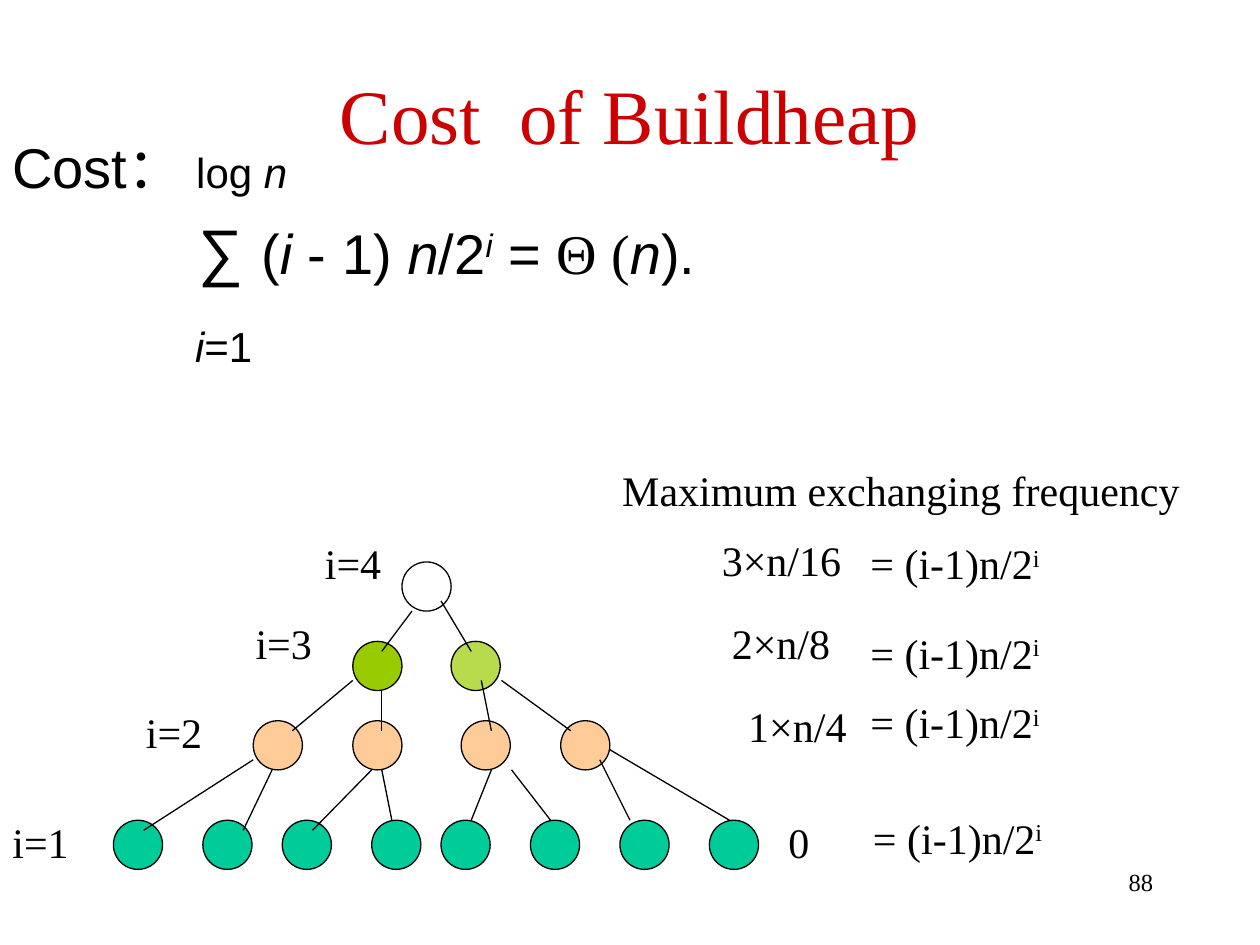
from dataclasses import dataclass

from lxml.etree import SubElement
from pptx import Presentation
from pptx.dml.color import RGBColor as Color
from pptx.enum.shapes import MSO_CONNECTOR as Connector, MSO_SHAPE as Shape
from pptx.enum.text import MSO_ANCHOR as Anchor, MSO_AUTO_SIZE as AutoSize, PP_ALIGN as Align
from pptx.oxml.ns import qn
from pptx.util import Inches, Pt


@dataclass(frozen=True)
class Theme:
    serif: str = "Times New Roman"
    sans: str = "Arial"
    ink: str = "000000"
    title: str = "CC0000"
    root: str = "FFFFFF"
    green: str = "99CC00"
    peach: str = "FFCC99"
    teal: str = "00CC99"
    title_size: int = 44
    sum_size: int = 36
    formula_size: int = 32
    label_size: int = 24
    number_size: int = 14
    line_width: float = 0.75
    node_size: float = 0.39


class HeapSlide:
    def __init__(self, page, theme):
        self.page = page
        self.theme = theme

    def set_font(self, font, size, name, color):
        font.size = Pt(size)
        font.name = name
        font.color.rgb = Color.from_string(color)

    def text(self, left, top, width, height, words, size=None, color=None,
             align=Align.LEFT, anchor=Anchor.TOP, wrap=False, exponent=None):
        theme = self.theme
        box = self.page.shapes.add_textbox(
            Inches(left), Inches(top), Inches(width), Inches(height))
        frame = box.text_frame
        frame.word_wrap = wrap
        frame.auto_size = AutoSize.NONE if wrap else AutoSize.SHAPE_TO_FIT_TEXT
        frame.vertical_anchor = anchor
        para = frame.paragraphs[0]
        para.alignment = align
        self.set_font(para.font, size or theme.label_size, theme.serif, color or theme.ink)
        para.add_run().text = words
        if exponent:
            self.superscript(para, exponent)

    def superscript(self, para, words):
        span = para.add_run()
        span.text = words
        span.font._element.set("baseline", "30000")
        return span

    def formula(self, left, top, width, height, lines):
        theme = self.theme
        box = self.page.shapes.add_textbox(
            Inches(left), Inches(top), Inches(width), Inches(height))
        frame = box.text_frame
        frame.word_wrap = True
        for index, (indent, before, size, spans) in enumerate(lines):
            para = frame.add_paragraph() if index else frame.paragraphs[0]
            para._p.get_or_add_pPr().set("marL", str(Inches(indent)))
            para.space_before = Pt(before)
            self.set_font(para.font, size, theme.sans, theme.ink)
            for words, style in spans:
                if style.get("raised"):
                    span = self.superscript(para, words)
                else:
                    span = para.add_run()
                    span.text = words
                span.font.italic = style.get("italic")
                if "size" in style:
                    span.font.size = Pt(style["size"])
                if "font" in style:
                    span.font.name = style["font"]

    def node(self, left, top, fill, alpha=None):
        theme = self.theme
        size = Inches(theme.node_size)
        circle = self.page.shapes.add_shape(Shape.OVAL, Inches(left), Inches(top), size, size)
        circle.shadow.inherit = False
        circle.fill.solid()
        circle.fill.fore_color.rgb = Color.from_string(fill)
        circle.line.color.rgb = Color.from_string(theme.ink)
        circle.line.width = Pt(theme.line_width)
        if alpha:
            tint = circle._element.spPr.find(qn("a:solidFill")).find(qn("a:srgbClr"))
            SubElement(tint, qn("a:alpha")).set("val", str(alpha * 1000))

    def edge(self, *ends):
        line = self.page.shapes.add_connector(
            Connector.STRAIGHT, *[Inches(value) for value in ends])
        line.line.color.rgb = Color.from_string(self.theme.ink)
        line.line.width = Pt(self.theme.line_width)
        SubElement(line._element.spPr, qn("a:effectLst"))


def main():
    theme = Theme()
    deck = Presentation()
    deck.slide_width, deck.slide_height = Inches(10), Inches(7.5)
    slide = HeapSlide(deck.slides.add_slide(deck.slide_layouts[6]), theme)

    slide.text(0.5, 0.4, 9, 1, "Cost  of Buildheap", theme.title_size, theme.title,
               Align.CENTER, Anchor.MIDDLE, True)

    plain, italic = {}, {"italic": True}
    small = {"size": theme.label_size}
    slide.formula(0, 1, 10, 2.13, [
        (0, 0, theme.formula_size, [
            ("Cost： ", plain), ("log ", small), ("n", small | italic)]),
        (1.48, 7, theme.formula_size, [
            ("∑ ", {"size": theme.sum_size}), ("(", plain), ("i", italic),
            (" - 1) ", plain), ("n", italic), ("/2", plain),
            ("i", {"italic": True, "raised": True}), (" = ", plain),
            ("Θ (", {"font": theme.serif}), ("n", italic), (").", plain)]),
        (1.45, 19, theme.label_size, [("i", italic), ("=1", plain)]),
    ])

    levels = [
        (4.46, theme.root, [3.19]),
        (5.09, theme.green, [2.8, 3.58]),
        (5.72, theme.peach, [2.01, 2.8, 3.66, 4.45]),
        (6.51, theme.teal, [0.9, 1.61, 2.24, 2.95, 3.5, 4.21, 4.92, 5.63]),
    ]
    for top, fill, lefts in levels:
        for left in lefts:
            faded = fill == theme.green and left != lefts[0]
            slide.node(left, top, fill, 70 if faded else None)

    edges = [
        (3.27, 4.85, 3.03, 5.17), (3.5, 4.77, 3.74, 5.17),
        (2.8, 5.4, 2.32, 5.8), (3.03, 5.48, 3.03, 5.8),
        (3.82, 5.4, 3.9, 5.8), (3.98, 5.4, 4.53, 5.8),
        (2.01, 6.03, 1.14, 6.59), (2.16, 6.11, 1.93, 6.59),
        (2.95, 6.11, 2.48, 6.59), (3.03, 6.11, 3.11, 6.51),
        (3.9, 6.11, 3.74, 6.51), (4.06, 6.11, 4.37, 6.51),
        (4.76, 6.03, 5, 6.51), (4.84, 5.95, 5.79, 6.51),
    ]
    for ends in edges:
        slide.edge(*ends)

    level_labels = [(0, 6.43), (1.06, 5.56), (1.93, 4.85), (2.48, 4.22)]
    for level, (left, top) in enumerate(level_labels, 1):
        slide.text(left, top, 0.65, 0.5, f"i={level}")

    slide.text(4.84, 3.64, 4.64, 0.5, "Maximum exchanging frequency")
    counts = [
        (5.63, 4.19, 1.29, "3×n/16"), (5.71, 4.85, 1.13, "2×n/8"),
        (5.84, 5.51, 1.13, "1×n/4"), (6.16, 6.43, 0.37, "0"),
    ]
    for left, top, width, words in counts:
        slide.text(left, top, width, 0.5, words)
    for left, top in [(6.81, 4.22), (6.81, 4.93), (6.81, 5.48), (6.83, 6.4)]:
        slide.text(left, top, 1.55, 0.5, "= (i-1)n/2", exponent="i")

    slide.text(7.17, 6.83, 2.08, 0.5, "88", theme.number_size, align=Align.RIGHT, wrap=True)
    deck.save("out.pptx")


if __name__ == "__main__":
    main()
